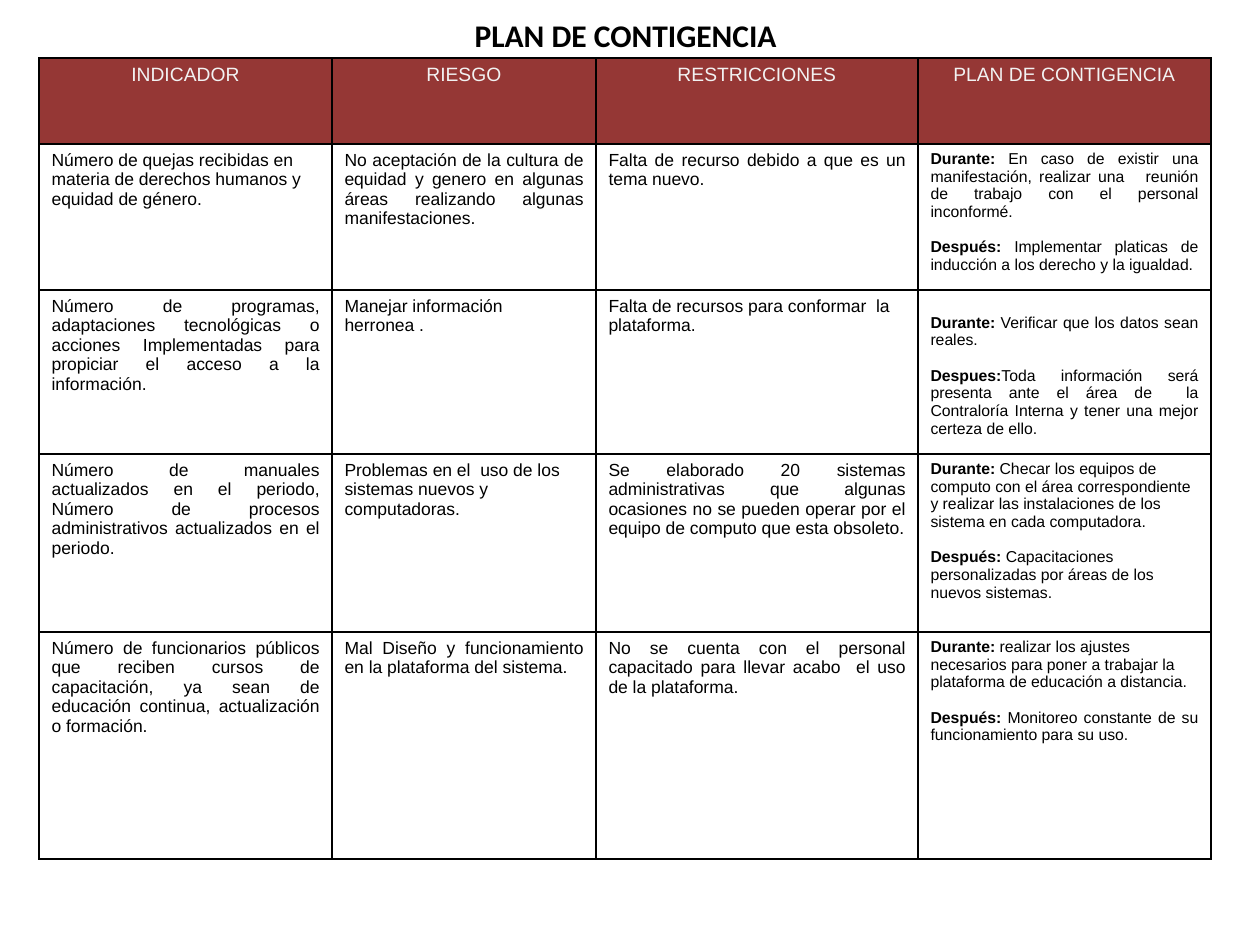
from pptx import Presentation
from pptx.dml.color import RGBColor
from pptx.enum.text import MSO_ANCHOR, MSO_AUTO_SIZE, PP_ALIGN
from pptx.util import Pt
from lxml import etree

LEFT, MID, JUST = PP_ALIGN.LEFT, PP_ALIGN.CENTER, PP_ALIGN.JUSTIFY
TOP = MSO_ANCHOR.TOP
NS = "http://schemas.openxmlformats.org/drawingml/2006/main"
SCALE = 914400 / 126

THEME = {
    "head": "953735", "pale": "F2F2F2", "ink": "000000", "white": "FFFFFF",
    "title": 18, "label": 11, "body": 10, "note": 9,
    "font": "Arial", "face": "Calibri", "line": 1,
}

HEADS = ["INDICADOR", "RIESGO", "RESTRICCIONES", "PLAN DE CONTIGENCIA"]

# Each cell lists its paragraphs as (alignment, bold lead, text).
ROWS = [
    [
        [(LEFT, "", "Número de quejas recibidas en materia de derechos humanos y equidad de género.")],
        [(JUST, "", "No aceptación de la cultura de equidad y genero en algunas áreas realizando algunas manifestaciones.")],
        [(JUST, "", "Falta de recurso debido a que es un tema nuevo.")],
        [(JUST, "Durante:", " En caso de existir una manifestación, realizar una   reunión de trabajo con el personal inconformé."),
         (JUST, "Después:", " Implementar platicas de inducción a los derecho y la igualdad.")],
    ],
    [
        [(JUST, "", "Número de programas, adaptaciones tecnológicas o acciones Implementadas para propiciar el acceso a la información.")],
        [(LEFT, "", "Manejar información herronea .")],
        [(LEFT, "", "Falta de recursos para conformar  la plataforma.")],
        [(JUST, "Durante:", " Verificar que los datos sean reales."),
         (JUST, "Despues:", "Toda información será presenta ante el área de  la Contraloría Interna y tener una mejor certeza de ello.")],
    ],
    [
        [(JUST, "", "Número de manuales actualizados en el periodo, Número de procesos administrativos actualizados en el periodo.")],
        [(LEFT, "", "Problemas en el  uso de los sistemas nuevos y computadoras.")],
        [(JUST, "", "Se elaborado 20 sistemas administrativas que algunas ocasiones no se pueden operar por el equipo de computo que esta obsoleto.")],
        [(LEFT, "Durante:", " Checar los equipos de computo con el área correspondiente y realizar las instalaciones de los sistema en cada computadora."),
         (LEFT, "Después:", " Capacitaciones personalizadas por áreas de los nuevos sistemas.")],
    ],
    [
        [(JUST, "", "Número de funcionarios públicos que reciben cursos de capacitación, ya sean de educación continua, actualización o formación.")],
        [(JUST, "", "Mal Diseño y funcionamiento en la plataforma del sistema.")],
        [(JUST, "", "No se cuenta con el personal capacitado para llevar acabo  el uso de la plataforma.")],
        [(LEFT, "Durante:", " realizar los ajustes necesarios para poner a trabajar la plataforma de educación a distancia."),
         (JUST, "Después:", " Monitoreo constante de su funcionamiento para su uso.")],
    ],
]


def px(n):
    return round(n * SCALE)


def frame(cell):
    """Draw the same line on all four sides of a cell."""
    props = cell._tc.get_or_add_tcPr()
    for side in ("lnL", "lnR", "lnT", "lnB"):
        line = etree.SubElement(props, f"{{{NS}}}{side}", w=str(Pt(THEME["line"])))
        fill = etree.SubElement(line, f"{{{NS}}}solidFill")
        etree.SubElement(fill, f"{{{NS}}}srgbClr", val=THEME["ink"])


deck = Presentation()
deck.slide_width, deck.slide_height = px(1260), px(945)
slide = deck.slides.add_slide(deck.slide_layouts[5])

title = slide.shapes.title
title.left, title.top, title.width, title.height = px(462), px(10), px(345), px(50)
text = title.text_frame
text.text = "PLAN DE CONTIGENCIA"
text.word_wrap = False
text.auto_size = MSO_AUTO_SIZE.NONE
text.vertical_anchor = TOP
text.paragraphs[0].alignment = LEFT
font = text.paragraphs[0].runs[0].font
font.name, font.size, font.bold = THEME["face"], Pt(THEME["title"]), True
font.color.rgb = RGBColor.from_string(THEME["ink"])

widths = [293, 264, 322, 293]
heights = [86, 146, 164, 178, 227]
grid = slide.shapes.add_table(
    len(heights), len(widths), px(39), px(58), px(sum(widths)), px(sum(heights))
).table
grid.horz_banding = False
for col, width in zip(grid.columns, widths):
    col.width = px(width)
for row, height in zip(grid.rows, heights):
    row.height = px(height)

cells = [[[(MID, "", head)] for head in HEADS]] + ROWS
for r, row in enumerate(cells):
    for c, paras in enumerate(row):
        cell = grid.cell(r, c)
        frame(cell)
        cell.fill.solid()
        cell.fill.fore_color.rgb = RGBColor.from_string(THEME["white" if r else "head"])
        cell.vertical_anchor = TOP
        size = THEME["label" if r == 0 else "note" if c == 3 else "body"]
        ink = RGBColor.from_string(THEME["ink" if r else "pale"])
        cell.text_frame.text = "\n".join(lead or body for _, lead, body in paras)
        for i, (para, (align, lead, body)) in enumerate(zip(cell.text_frame.paragraphs, paras)):
            para.alignment = align
            if i:
                para.space_before = Pt(10)
            if lead:
                para.add_run().text = body
            for k, run in enumerate(para.runs):
                run.font.name, run.font.size = THEME["font"], Pt(size)
                run.font.bold = bool(lead) and k == 0
                run.font.color.rgb = ink

# The second plan starts one line lower than the others.
grid.cell(2, 3).margin_top = px(24)

deck.save("out.pptx")
